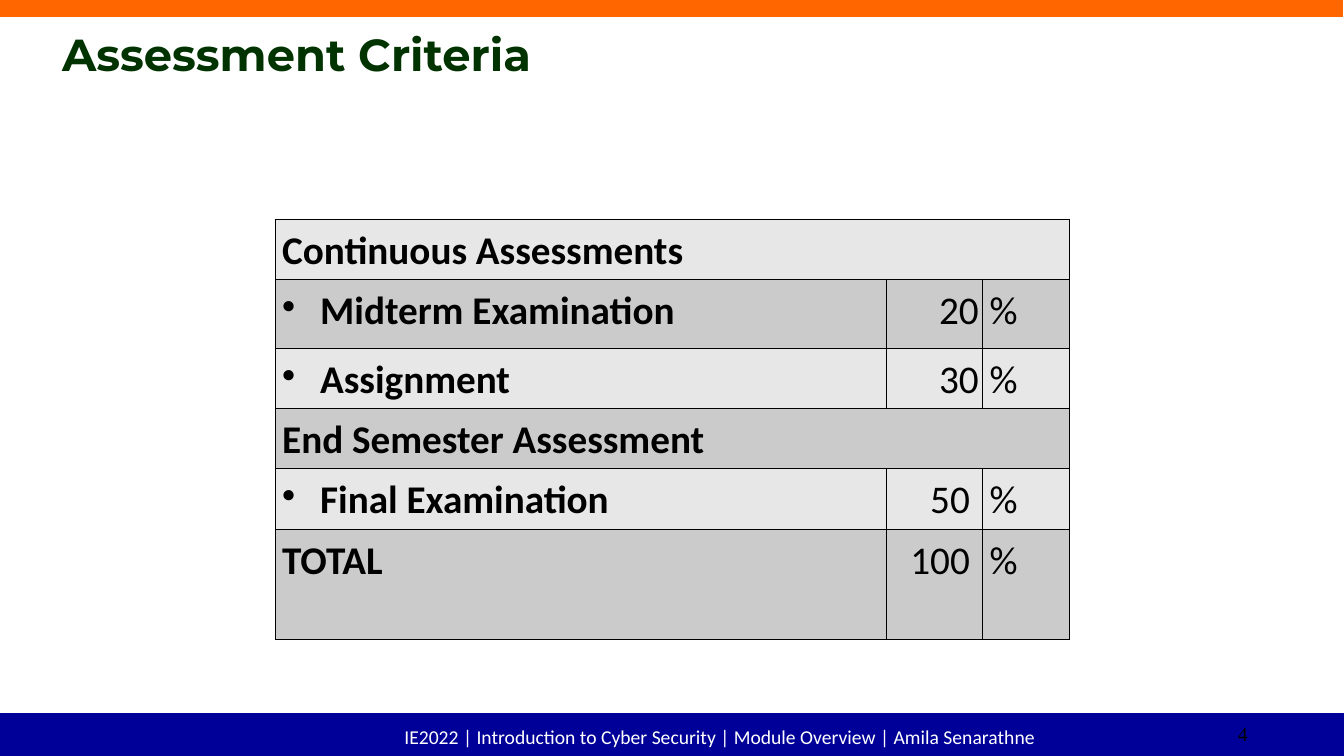
import pptx
import pptx.util
import pptx.dml.color
import pptx.enum.shapes
import pptx.enum.text
import pptx.oxml.ns
from lxml import etree

PX = 9080  # EMU per px
ALIGN = pptx.enum.text.PP_ALIGN
LIGHT, DARK = "E7E7E7", "CBCBCB"
COLUMN_WIDTHS = (611, 96, 87)
# label, share, is a bulleted item, row height
ASSESSMENTS = (
    ("Continuous Assessments", None, False, 60),
    ("Midterm Examination", "20", True, 69),
    ("Assignment", "30", True, 60),
    ("End Semester Assessment", None, False, 60),
    ("Final Examination", "50 ", True, 61),
    ("TOTAL", "100 ", False, 110),
)


def px(length):
    return pptx.util.Emu(length * PX)


def rgb(color):
    return pptx.dml.color.RGBColor.from_string(color)


def write(frame, text, size=28, font="Calibri", color="000000", bold=False,
          align=ALIGN.LEFT, line_spacing=None):
    paragraph = frame.paragraphs[0]
    paragraph.alignment = align
    if line_spacing:
        paragraph.line_spacing = line_spacing
    run = paragraph.add_run()
    run.text = text
    run.font.size = pptx.util.Pt(size)
    run.font.name = font
    run.font.bold = bold
    run.font.color.rgb = rgb(color)
    return paragraph


def add_band(slide, left, top, width, height, color):
    band = slide.shapes.add_shape(
        pptx.enum.shapes.MSO_SHAPE.RECTANGLE, px(left), px(top), px(width), px(height))
    band.shadow.inherit = False
    band.fill.solid()
    band.fill.fore_color.rgb = rgb(color)
    band.line.color.rgb = rgb(color)
    band.line.width = pptx.util.Pt(0.75)


def add_label(slide, left, top, width, height, text, **text_format):
    frame = slide.shapes.add_textbox(px(left), px(top), px(width), px(height)).text_frame
    frame.word_wrap = True
    write(frame, text, **text_format)


def add_title(slide, text):
    title = slide.shapes.title
    title.left, title.top, title.width, title.height = px(52), px(21), px(1205), px(64)
    frame = title.text_frame
    frame.vertical_anchor = pptx.enum.text.MSO_ANCHOR.BOTTOM
    frame.auto_size = pptx.enum.text.MSO_AUTO_SIZE.SHAPE_TO_FIT_TEXT
    write(frame, text, size=32, font="Montserrat", color="003300", bold=True)


def add_bullet(paragraph):
    properties = paragraph._p.get_or_add_pPr()
    properties.set("marL", str(px(38)))
    properties.set("indent", str(px(-38)))
    bullet = etree.SubElement(properties, pptx.oxml.ns.qn("a:buChar"))
    bullet.set("char", "•")


def style_cell(cell, color):
    """Set the borders, fill and margins of a cell."""
    properties = cell._tc.get_or_add_tcPr()
    for side in ("a:lnL", "a:lnR", "a:lnT", "a:lnB"):
        border = etree.SubElement(properties, pptx.oxml.ns.qn(side), w=str(pptx.util.Pt(0.45)))
        fill = etree.SubElement(border, pptx.oxml.ns.qn("a:solidFill"))
        etree.SubElement(fill, pptx.oxml.ns.qn("a:srgbClr"), val="000000")
    cell.fill.solid()
    cell.fill.fore_color.rgb = rgb(color)
    cell.margin_left, cell.margin_right = px(7), px(4)
    cell.margin_top = cell.margin_bottom = px(5)


def add_assessment_table(slide):
    heights = [height for *_, height in ASSESSMENTS]
    table = slide.shapes.add_table(
        len(ASSESSMENTS), len(COLUMN_WIDTHS), px(275), px(219),
        px(sum(COLUMN_WIDTHS)), px(sum(heights))).table
    for column, width in zip(table.columns, COLUMN_WIDTHS):
        column.width = px(width)
    for index, (label, share, is_item, height) in enumerate(ASSESSMENTS):
        row = table.rows[index]
        row.height = px(height)
        for cell in row.cells:
            style_cell(cell, DARK if index % 2 else LIGHT)
        name, value, unit = row.cells
        paragraph = write(name.text_frame, label, bold=True, line_spacing=1.06)
        if is_item:
            add_bullet(paragraph)
        if share is None:
            name.merge(unit)
        else:
            write(value.text_frame, share, align=ALIGN.RIGHT, line_spacing=1.06)
            write(unit.text_frame, "%", line_spacing=1.06)


def main():
    deck = pptx.Presentation()
    deck.slide_width, deck.slide_height = px(1343), px(755)
    slide = deck.slides.add_slide(deck.slide_layouts.get_by_name("Title Only"))
    add_band(slide, 0, 713, 1343, 42, "000099")
    add_band(slide, -3, -3, 1345, 20, "FF6600")
    add_title(slide, "Assessment Criteria")
    add_label(slide, 1175, 716, 134, 50, "4", size=14, font="Times New Roman",
              align=ALIGN.CENTER)
    add_label(slide, 291, 719, 857, 50,
              "IE2022 | Introduction to Cyber Security | Module Overview | Amila Senarathne",
              size=14, color="FFFFFF", align=ALIGN.CENTER)
    add_assessment_table(slide)
    deck.save("out.pptx")


if __name__ == "__main__":
    main()
